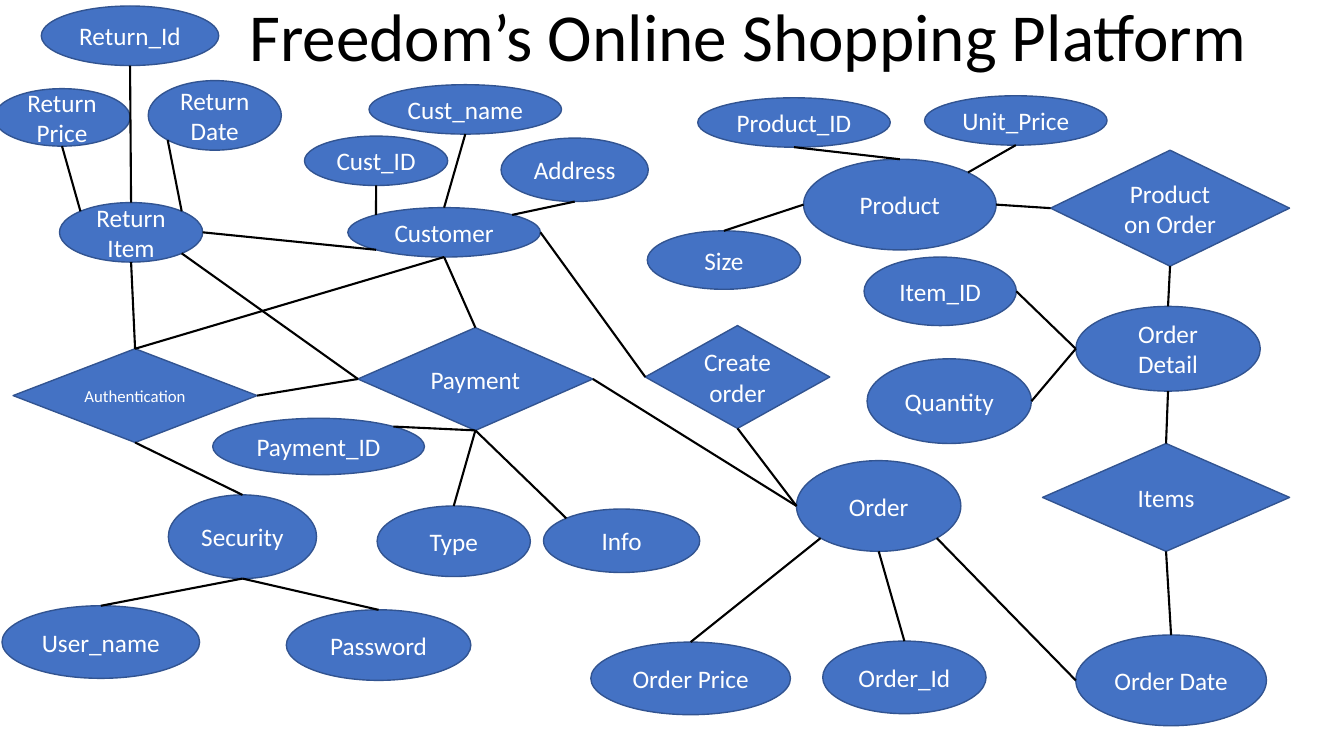
import pptx
import pptx.util
import pptx.dml.color
import pptx.enum.shapes
import pptx.enum.text
import pptx.oxml
import pptx.oxml.ns
from lxml import etree

Inches, Pt = pptx.util.Inches, pptx.util.Pt
SHAPE = pptx.enum.shapes.MSO_SHAPE
ANCHOR = pptx.enum.text.MSO_ANCHOR
COLORS = {"node": "4472C4", "edge": "325491", "light": "FFFFFF", "dark": "000000"}

# Content: name, kind, left, top, width, height
TITLE = "Freedom\u2019s Online Shopping Platform "
NODES = [
    ("Cust_ID", "ellipse", 3.02, 1.35, 1.42, 0.49),
    ("Cust_name", "ellipse", 3.66, 0.84, 1.91, 0.49),
    ("Address", "ellipse", 4.97, 1.37, 1.46, 0.63),
    ("Customer", "ellipse", 3.45, 2.06, 1.91, 0.49),
    ("Authentication", "diamond", 0.13, 3.46, 2.42, 0.93),
    ("Create order", "decision", 6.4, 3.23, 1.83, 1.02),
    ("Security", "ellipse", 1.67, 4.91, 1.47, 0.83),
    ("User_name", "ellipse", 0.02, 6.01, 1.96, 0.72),
    ("Password", "ellipse", 2.84, 6.05, 1.83, 0.7),
    ("Order", "ellipse", 7.9, 4.57, 1.63, 0.9),
    ("Order_Id", "ellipse", 8.16, 6.36, 1.62, 0.72),
    ("Order Price", "ellipse", 5.86, 6.37, 1.98, 0.72),
    ("Order Date", "ellipse", 10.67, 6.3, 1.89, 0.9),
    ("Return Item", "ellipse", 0.59, 2.01, 1.42, 0.59),
    ("Return_Id", "ellipse", 0.41, 0.06, 1.76, 0.59),
    ("Return Price", "ellipse", -0.06, 0.88, 1.35, 0.57),
    ("Return Date", "ellipse", 1.47, 0.8, 1.32, 0.69),
    ("Payment", "diamond", 3.55, 3.25, 2.33, 1.02),
    ("Payment_ID", "ellipse", 2.11, 4.15, 2.1, 0.56),
    ("Type", "ellipse", 3.74, 5.02, 1.52, 0.7),
    ("Info", "ellipse", 5.39, 5.05, 1.55, 0.63),
    ("Items", "diamond", 10.34, 4.4, 2.45, 1.07),
    ("Product on Order", "diamond", 10.42, 1.49, 2.37, 1.15),
    ("Order Detail", "ellipse", 10.67, 3.04, 1.83, 0.84),
    ("Item_ID", "ellipse", 8.57, 2.55, 1.51, 0.68),
    ("Quantity", "ellipse", 8.6, 3.56, 1.63, 0.84),
    ("Product", "ellipse", 7.97, 1.58, 1.91, 0.9),
    ("Size", "ellipse", 6.42, 2.29, 1.52, 0.58),
    ("Product_ID", "ellipse", 6.92, 0.97, 1.91, 0.49),
    ("Unit_Price ", "ellipse", 9.17, 0.95, 1.81, 0.49),
]
# Links: from node, its side, to node, its side (t, b, l, r and corners)
LINKS = [
    ("Cust_name", "b", "Customer", "t"),
    ("Cust_ID", "b", "Customer", "tl"),
    ("Customer", "tr", "Address", "b"),
    ("Authentication", "t", "Customer", "b"),
    ("Create order", "l", "Customer", "r"),
    ("Security", "t", "Authentication", "b"),
    ("User_name", "t", "Security", "b"),
    ("Password", "t", "Security", "b"),
    ("Create order", "b", "Order", "l"),
    ("Order", "b", "Order_Id", "t"),
    ("Order Price", "t", "Order", "bl"),
    ("Order", "br", "Order Date", "l"),
    ("Authentication", "t", "Return Item", "b"),
    ("Customer", "bl", "Return Item", "r"),
    ("Return Item", "tl", "Return Price", "b"),
    ("Return Item", "tr", "Return Date", "bl"),
    ("Return Item", "t", "Return_Id", "b"),
    ("Payment_ID", "tr", "Payment", "b"),
    ("Type", "t", "Payment", "b"),
    ("Info", "tl", "Payment", "b"),
    ("Payment", "l", "Authentication", "r"),
    ("Payment", "l", "Return Item", "br"),
    ("Payment", "t", "Customer", "b"),
    ("Payment", "r", "Order", "l"),
    ("Order Date", "t", "Items", "b"),
    ("Items", "t", "Order Detail", "b"),
    ("Order Detail", "l", "Quantity", "r"),
    ("Order Detail", "l", "Item_ID", "r"),
    ("Order Detail", "t", "Product on Order", "b"),
    ("Product on Order", "l", "Product", "r"),
    ("Product", "l", "Size", "t"),
    ("Product", "t", "Product_ID", "b"),
    ("Product", "tr", "Unit_Price ", "b"),
]
KINDS = {"ellipse": SHAPE.OVAL, "diamond": SHAPE.DIAMOND,
         "decision": SHAPE.FLOWCHART_DECISION}
# Connection sites in the order each preset numbers them
SITES = {"ellipse": ["t", "tl", "l", "bl", "b", "br", "r", "tr"],
         "diamond": ["t", "l", "b", "r"], "decision": ["t", "l", "b", "r"]}


def rgb(name):
    return pptx.dml.color.RGBColor.from_string(COLORS[name])


def write(sp, text, size=18, color="light", anchor=ANCHOR.MIDDLE):
    tf = sp.text_frame
    tf.word_wrap = True
    tf.vertical_anchor = anchor
    p = tf.paragraphs[0]
    p.alignment = pptx.enum.text.PP_ALIGN.CENTER
    r = p.add_run()
    r.text = text
    r.font.size = Pt(size)
    r.font.name = "Calibri"
    r.font.color.rgb = rgb(color)
    return tf


def site_point(sp, side):
    """Point on the outline; corners lie at 45 degrees on an ellipse."""
    reach = 0.5 if len(side) == 1 else 0.5 ** 1.5
    dx = ("r" in side) - ("l" in side)
    dy = ("b" in side) - ("t" in side)
    return (int(sp.left + sp.width * (0.5 + dx * reach)),
            int(sp.top + sp.height * (0.5 + dy * reach)))


prs = pptx.Presentation()
prs.slide_width, prs.slide_height = Inches(13.33), Inches(7.5)
s = prs.slides.add_slide(prs.slide_layouts[6])

# Entities, attributes and relationships
shapes = {}
for name, kind, *box in NODES:
    sp = s.shapes.add_shape(KINDS[kind], *map(Inches, box))
    sp.shadow.inherit = False
    sp.fill.solid()
    sp.fill.fore_color.rgb = rgb("node")
    sp.line.color.rgb = rgb("edge")
    sp.line.width = Pt(1)
    write(sp, name, size=12 if name == "Authentication" else 18)
    shapes[name] = (sp, kind)

# Lines, attached to the connection sites
qn = pptx.oxml.ns.qn
for start, start_side, end, end_side in LINKS:
    ends = [("a:stCxn", *shapes[start], start_side),
            ("a:endCxn", *shapes[end], end_side)]
    points = [xy for _, sp, _, side in ends for xy in site_point(sp, side)]
    c = s.shapes.add_connector(pptx.enum.shapes.MSO_CONNECTOR.STRAIGHT, *points)
    c.line.color.rgb = rgb("dark")
    c.line.width = Pt(1.5)
    etree.SubElement(c._element.spPr, qn("a:effectLst"))
    for tag, sp, kind, side in ends:
        etree.SubElement(c._element.nvCxnSpPr.cNvCxnSpPr, qn(tag),
                         id=str(sp.shape_id), idx=str(SITES[kind].index(side)))

# Title
tb = s.shapes.add_textbox(Inches(2.04), Inches(-0.11), Inches(10.91), Inches(0.91))
tf = write(tb, TITLE, size=48, color="dark", anchor=ANCHOR.TOP)
tf.auto_size = pptx.enum.text.MSO_AUTO_SIZE.SHAPE_TO_FIT_TEXT

prs.save("out.pptx")
